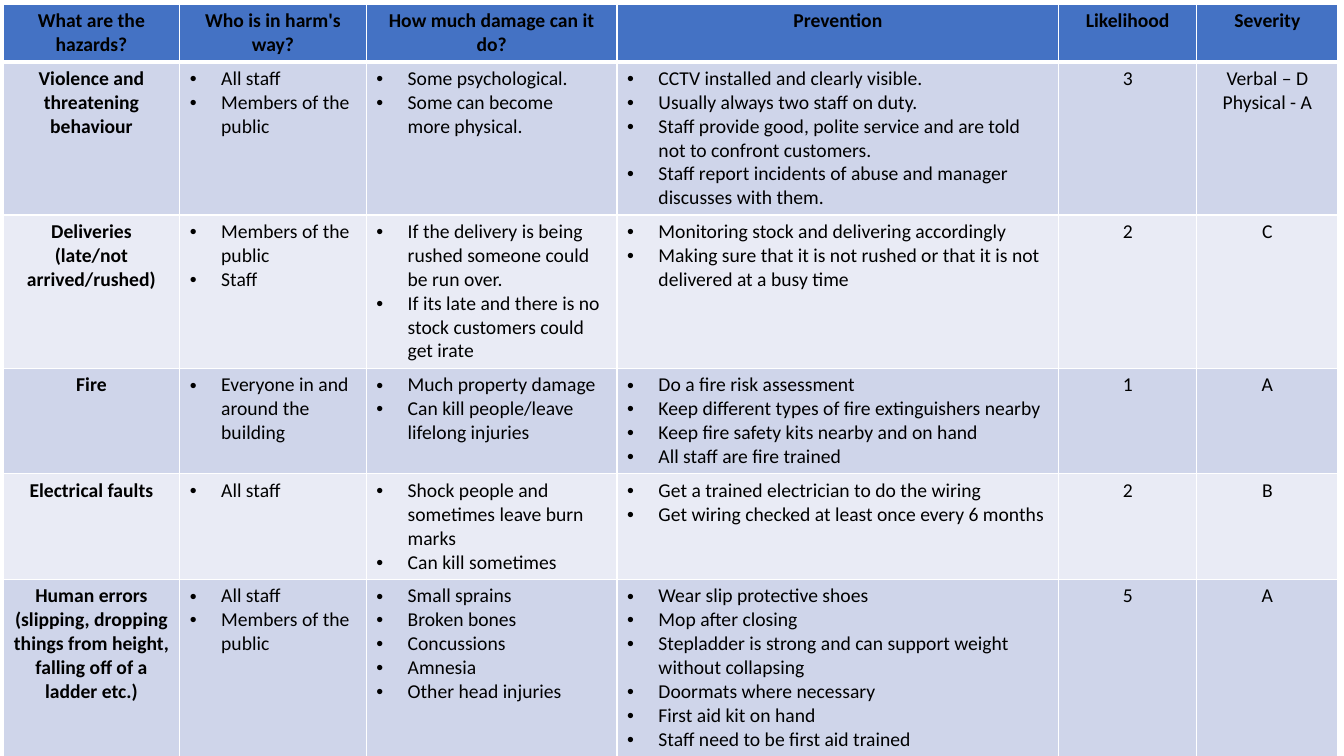
import pptx
import pptx.dml.color
import pptx.enum.text
import pptx.oxml
import pptx.oxml.ns
import pptx.util
from dataclasses import dataclass
from typing import NamedTuple

Cm = pptx.util.Cm
Pt = pptx.util.Pt
Align = pptx.enum.text.PP_ALIGN


@dataclass(frozen=True)
class Theme:
    font: str = "Calibri"
    size: float = 14
    ink: str = "000000"
    head: str = "4472C4"
    odd: str = "CFD5EA"
    even: str = "E9EBF5"
    rule: str = "FFFFFF"
    thin: float = 1
    thick: float = 3


class Column(NamedTuple):
    title: str
    width: float
    bold: bool = False
    list: bool = False


class Hazard(NamedTuple):
    height: float
    name: str
    people: str
    damage: str
    guard: str
    odds: str
    grade: str


THEME = Theme()
HEAD = 1.35
INDENT = Cm(0.79)

COLUMNS = [
    Column("What are the hazards?", 4.45, bold=True),
    Column("Who is in harm's way?", 4.7, list=True),
    Column("How much\u00a0damage can it do?", 6.32, list=True),
    Column("Prevention", 11.13, list=True),
    Column("Likelihood", 3.48),
    Column("Severity", 3.56),
]

HAZARDS = [
    Hazard(
        3.58,
        "Violence and threatening behaviour",
        "All staff\nMembers of the public",
        "Some psychological.\nSome can become more\u00a0physical.",
        "CCTV installed and clearly visible.\n"
        "Usually always two staff on duty.\n"
        "Staff provide good, polite service and are told not to confront customers.\n"
        "Staff report incidents of abuse and manager discusses with them.",
        "3",
        "Verbal – D\nPhysical - A",
    ),
    Hazard(
        3.61,
        "Deliveries\n(late/not arrived/rushed)",
        "Members of the public\nStaff",
        "If the delivery is being rushed someone could be run over.\n"
        "If its late and there is no stock customers could get irate",
        "Monitoring stock and delivering accordingly\n"
        "Making sure that it is not rushed or that it is not delivered at a busy time",
        "2",
        "C",
    ),
    Hazard(
        2.46,
        "Fire",
        "Everyone in and around the building",
        "Much property damage\nCan kill people/leave lifelong injuries",
        "Do a fire risk assessment\n"
        "Keep different types of fire extinguishers nearby\n"
        "Keep fire safety kits nearby and on hand\n"
        "All staff are fire trained",
        "1",
        "A",
    ),
    Hazard(
        2.46,
        "Electrical faults",
        "All staff",
        "Shock people and sometimes leave burn marks\nCan kill sometimes",
        "Get a trained electrician\u00a0to do the wiring\n"
        "Get wiring checked at least once every 6 months",
        "2",
        "B",
    ),
    Hazard(
        4.14,
        "Human errors\n(slipping, dropping things from height, "
        "falling off of a ladder etc.)",
        "All staff\nMembers of the public",
        "Small sprains\nBroken bones\nConcussions\nAmnesia\nOther head injuries",
        "Wear slip protective shoes\n"
        "Mop after closing\n"
        "Stepladder is strong and can support weight without collapsing\n"
        "Doormats where necessary\n"
        "First aid kit on hand\n"
        "Staff need to be first aid trained",
        "5",
        "A",
    ),
]


def color(code: str) -> pptx.dml.color.RGBColor:
    return pptx.dml.color.RGBColor.from_string(code)


def border(cell, top: float, base: float) -> None:
    props = cell._tc.get_or_add_tcPr()
    sides = {"L": THEME.thin, "R": THEME.thin, "T": top, "B": base}
    for side, width in sides.items():
        props.append(pptx.oxml.parse_xml(
            f'<a:ln{side} {pptx.oxml.ns.nsdecls("a")} w="{Pt(width)}">'
            f'<a:solidFill><a:srgbClr val="{THEME.rule}"/></a:solidFill>'
            f'</a:ln{side}>'
        ))


def bullet(para) -> None:
    props = para._p.get_or_add_pPr()
    props.set("marL", str(INDENT))
    props.set("indent", str(-INDENT))
    for tag in ('buFont typeface="Arial"', 'buChar char="•"'):
        props.append(pptx.oxml.parse_xml(
            f'<a:{tag} {pptx.oxml.ns.nsdecls("a")}/>'
        ))


def write(cell, text: str, bold: bool, listed: bool) -> None:
    cell.text = text
    for para in cell.text_frame.paragraphs:
        if listed:
            bullet(para)
        para.alignment = Align.LEFT if listed else Align.CENTER
        font = para.font
        font.name = THEME.font
        font.size = Pt(THEME.size)
        font.bold = bold
        font.color.rgb = color(THEME.ink)


def paint(cell, row: int) -> None:
    border(
        cell,
        THEME.thick if row == 1 else THEME.thin,
        THEME.thick if row == 0 else THEME.thin,
    )
    cell.fill.solid()
    shade = THEME.odd if row % 2 else THEME.even
    cell.fill.fore_color.rgb = color(shade if row else THEME.head)


def main() -> None:
    deck = pptx.Presentation()
    deck.slide_width, deck.slide_height = Cm(33.87), Cm(19.05)
    slide = deck.slides.add_slide(deck.slide_layouts[6])
    rows = [HEAD] + [hazard.height for hazard in HAZARDS]
    wide = sum(column.width for column in COLUMNS)
    grid = slide.shapes.add_table(
        len(rows), len(COLUMNS), Cm(0.08), Cm(0.1), Cm(wide), Cm(sum(rows))
    ).table
    for row, height in enumerate(rows):
        grid.rows[row].height = Cm(height)
    for col, column in enumerate(COLUMNS):
        grid.columns[col].width = Cm(column.width)
        write(grid.cell(0, col), column.title, True, False)
        for row, hazard in enumerate(HAZARDS, 1):
            write(grid.cell(row, col), hazard[col + 1], column.bold, column.list)
        for row in range(len(rows)):
            paint(grid.cell(row, col), row)
    deck.save("out.pptx")


main()
